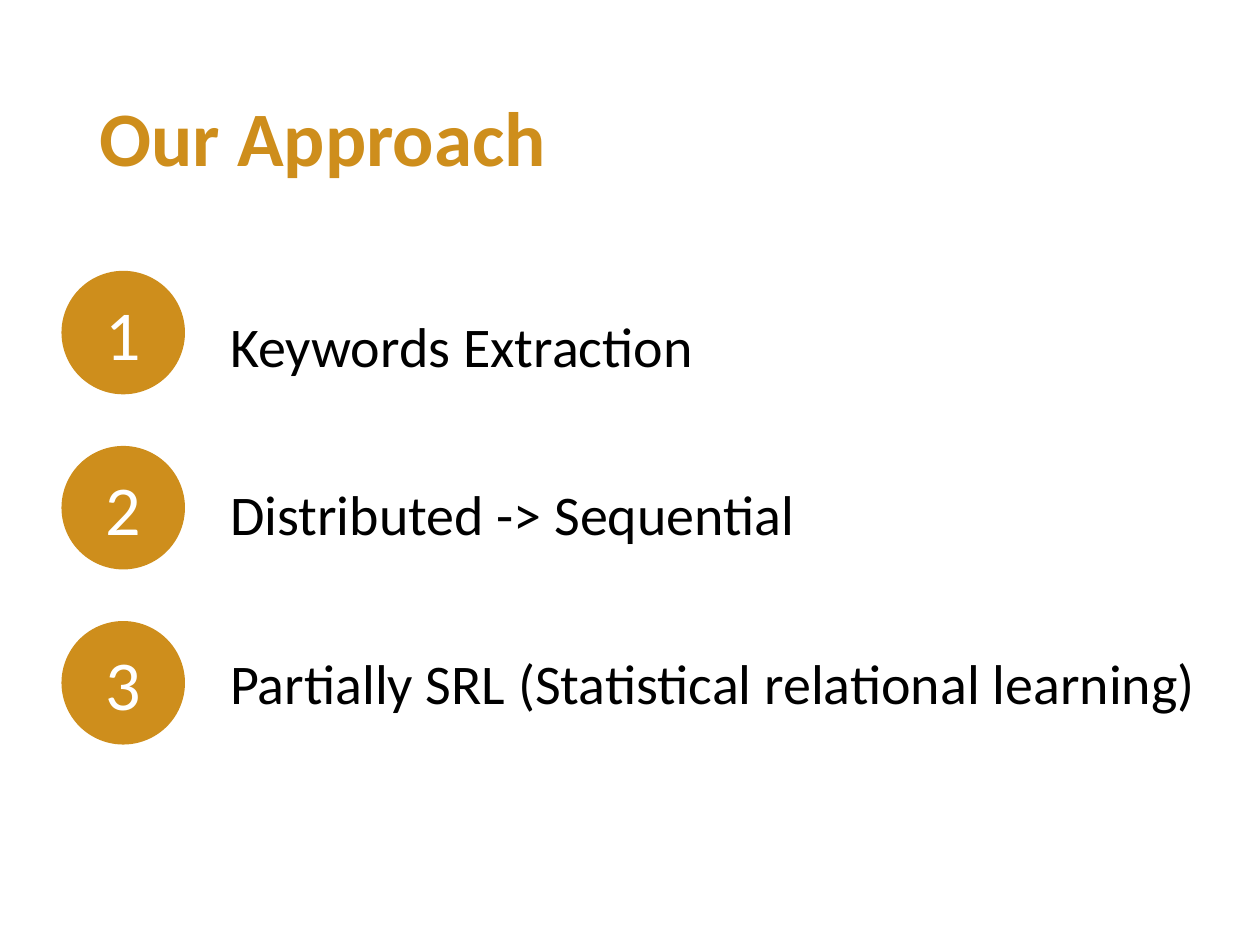
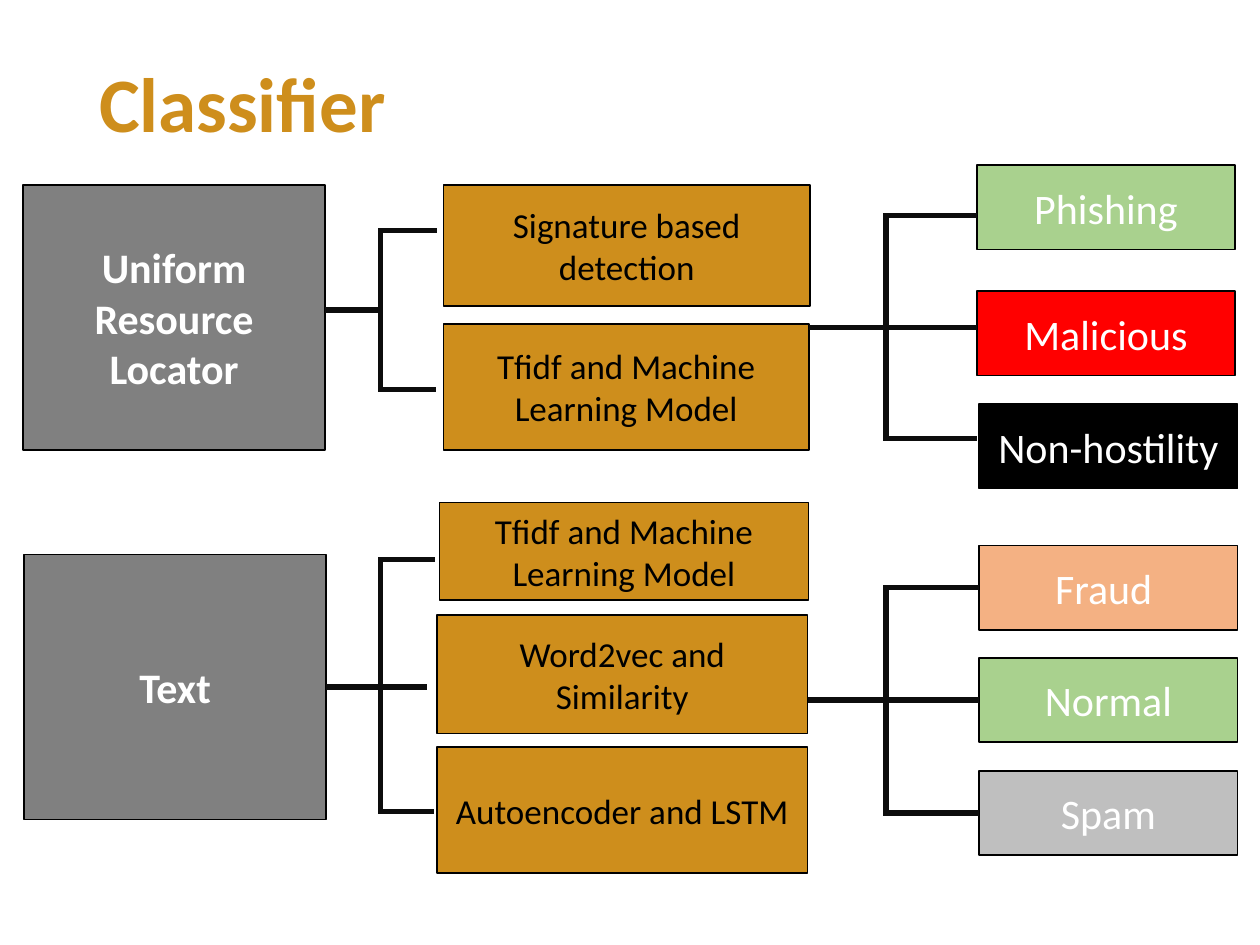
from lxml.etree import SubElement
from pptx import Presentation
from pptx.dml.color import RGBColor
from pptx.enum.shapes import MSO_CONNECTOR, MSO_SHAPE
from pptx.enum.text import MSO_ANCHOR, PP_ALIGN
from pptx.oxml.ns import qn
from pptx.util import Cm, Pt

COLORS = {
    "gold": "CE8E1C",
    "gray": "808080",
    "silver": "BFBFBF",
    "green": "A9D18E",
    "red": "FF0000",
    "peach": "F4B183",
    "black": "000000",
    "white": "FFFFFF",
    "bracket": "0D0D0D",
}
FONT_STYLES = {
    "title": {"size": Pt(44), "bold": True},
    "step": {"size": Pt(32)},
    "number": {"size": Pt(40)},
    "input": {"size": Pt(24), "bold": True},
    "method": {"size": Pt(20)},
    "outcome": {"size": Pt(24)},
}
OUTCOME_SIZE = (5.21, 1.7)
CORNER_OVERLAP = 0.05


def rgb(color):
    """Look up a named colour."""
    return RGBColor.from_string(COLORS[color])


def apply(target, values):
    """Set every attribute in values on the target."""
    for name, value in values.items():
        setattr(target, name, value)


def write(frame, lines, style, color, anchor=MSO_ANCHOR.MIDDLE, **layout):
    """Write one paragraph per line, in a named style."""
    apply(frame, {"word_wrap": True, "vertical_anchor": anchor})
    for index, line in enumerate(lines):
        paragraph = frame.add_paragraph() if index else frame.paragraphs[0]
        paragraph.text = line
        apply(paragraph, layout)
        apply(paragraph.font, {"name": "Calibri", **FONT_STYLES[style]})
        paragraph.font.color.rgb = rgb(color)


def add_title(slide, title, height):
    """Add the slide title."""
    title_area = slide.shapes.add_textbox(Cm(1.75), Cm(1.02), Cm(21.9), Cm(height))
    write(title_area.text_frame, [title], "title", "gold", line_spacing=0.9)


def add_steps(slide, steps):
    """Add the step names, evenly spaced, with their numbered circles."""
    names = slide.shapes.add_textbox(Cm(4.39), Cm(6.15), Cm(21.89), Cm(13.36))
    write(names.text_frame, steps, "step", "black", MSO_ANCHOR.TOP)
    for paragraph in names.text_frame.paragraphs[1:]:
        paragraph.space_before = Pt(58)
    for index in range(len(steps)):
        add_block(slide, str(index + 1), (1.24, 5.46 + 3.53 * index, 2.49, 2.49),
                  "gold", "number", MSO_SHAPE.OVAL, outlined=False)


def add_block(slide, label, bounds, fill, style, form=MSO_SHAPE.RECTANGLE,
              text_color="white", outlined=True):
    """Add a filled shape with a centred label."""
    block = slide.shapes.add_shape(form, *map(Cm, bounds))
    block.shadow.inherit = False
    block.fill.solid()
    block.fill.fore_color.rgb = rgb(fill)
    if outlined:
        block.line.color.rgb = rgb("black")
        block.line.width = Pt(1)
    else:
        block.line.fill.background()
    write(block.text_frame, [label], style, text_color, alignment=PP_ALIGN.CENTER)
    return block


def add_link(slide, start, end, source=None, target=None):
    """Draw a line, joined to the source's right and the target's left if given."""
    link = slide.shapes.add_connector(MSO_CONNECTOR.STRAIGHT, *map(Cm, start + end))
    link.line.color.rgb = rgb("bracket")
    link.line.width = Pt(3)
    SubElement(link._element.spPr, qn("a:effectLst"))
    if source is not None:
        link.begin_connect(source, 3)
    if target is not None:
        link.end_connect(target, 1)


def add_bracket(slide, start, spine, branches, source=None):
    """Draw a stem that fans out from a spine to branches of (x, y, target)."""
    middle = start[1]
    add_link(slide, start, (spine, middle), source)
    for x, y, target in branches:
        if y != middle:
            add_link(slide, (spine, middle), (spine, y))
        add_link(slide, (spine - CORNER_OVERLAP, y), (x, y), target=target)


def build_approach(slide):
    """Build the slide with the three steps."""
    add_title(slide, "Our Approach", 3.68)
    add_steps(slide, ["Keywords Extraction", "Distributed -> Sequential",
                      "Partially SRL (Statistical relational learning)"])


def build_classifier(slide):
    """Build the tree from inputs through methods to outcomes."""
    add_title(slide, "Classifier", 2.31)
    inputs = [
        ("Uniform Resource Locator", 0.46, 3.73),
        ("Text", 0.48, 11.18),
    ]
    methods = [
        ("Signature based detection", (8.94, 3.73, 7.39, 2.44)),
        ("Tfidf and Machine Learning Model", (8.94, 6.53, 7.37, 2.54)),
        ("Tfidf and Machine Learning Model", (8.86, 10.13, 7.44, 1.96)),
        ("Word2vec and Similarity", (8.81, 12.4, 7.47, 2.39)),
        ("Autoencoder and LSTM", (8.81, 15.06, 7.47, 2.54)),
    ]
    outcomes = [
        ("Phishing", 19.69, 3.33, "green"),
        ("Malicious", 19.69, 5.87, "red"),
        ("Non-hostility", 19.74, 8.15, "black"),
        ("Fraud ", 19.74, 11, "peach"),
        ("Normal", 19.74, 13.26, "green"),
        ("Spam", 19.74, 15.54, "silver"),
    ]
    url, text = [add_block(slide, label, (x, y, 6.1, 5.34), "gray", "input")
                 for label, x, y in inputs]
    for label, bounds in methods:
        add_block(slide, label, bounds, "gold", "method", text_color="black")
    fraud, normal, spam = [
        add_block(slide, label, (x, y, *OUTCOME_SIZE), fill, "outcome")
        for label, x, y, fill in outcomes][3:]

    add_bracket(slide, (6.56, 6.25), 7.67,
                [(8.81, 4.65, None), (8.79, 7.85, None)])
    add_bracket(slide, (6.58, 13.85), 7.67,
                [(8.76, 11.28, None), (8.61, 13.85, None), (8.74, 16.36, None)], text)
    add_bracket(slide, (16.31, 6.6), 17.86,
                [(19.69, y, None) for y in (4.34, 6.6, 8.84)])
    add_bracket(slide, (16.28, 14.11), 17.86,
                [(19.74, 11.85, fraud), (19.74, 14.11, normal), (19.74, 16.39, spam)])


def main():
    """Build and save the presentation."""
    deck = Presentation()
    apply(deck, {"slide_width": Cm(25.4), "slide_height": Cm(19.05)})
    for build in (build_approach, build_classifier):
        build(deck.slides.add_slide(deck.slide_layouts[6]))
    deck.save("out.pptx")


if __name__ == "__main__":
    main()
